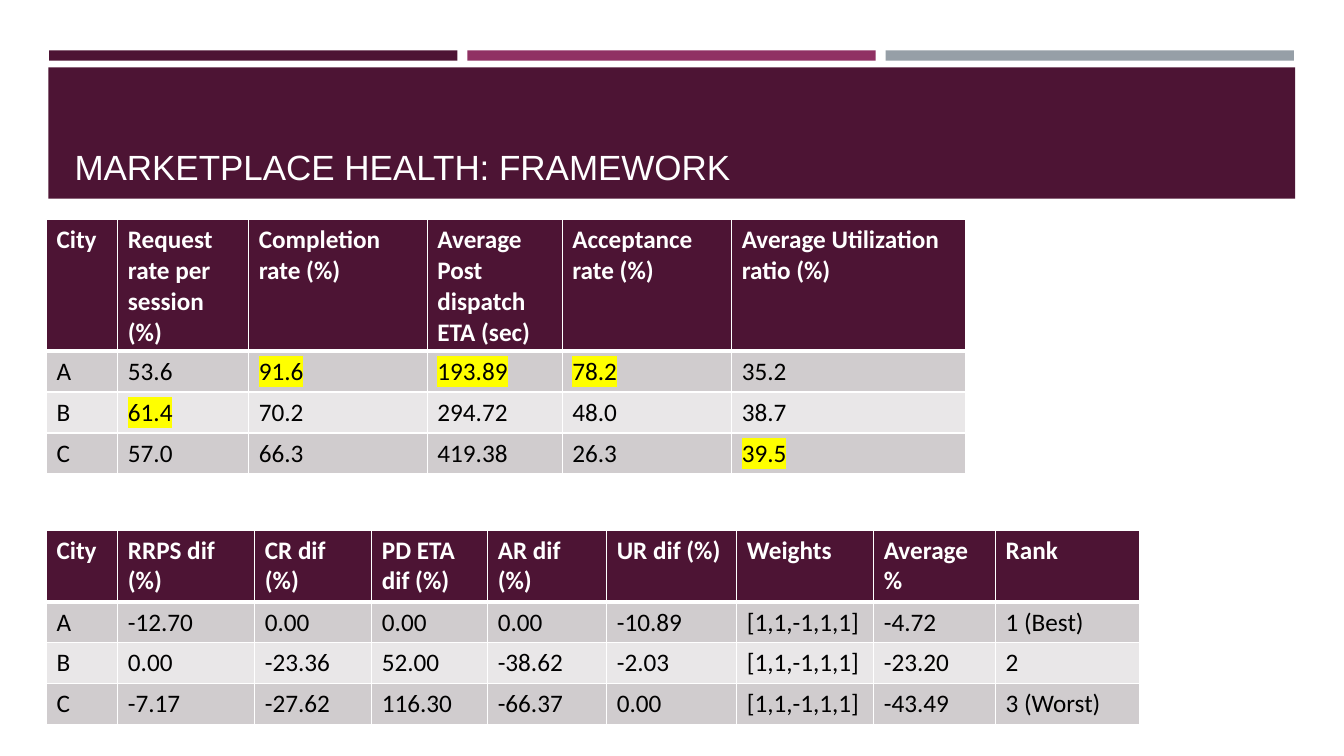
"""Build the marketplace health slide with its two city tables."""
from dataclasses import dataclass

from lxml import etree
from pptx import Presentation
from pptx.dml.color import RGBColor
from pptx.enum.shapes import MSO_SHAPE
from pptx.enum.text import MSO_ANCHOR
from pptx.oxml.ns import qn
from pptx.util import Cm, Pt

RECT = MSO_SHAPE.RECTANGLE
BOTTOM = MSO_ANCHOR.BOTTOM
HEX = {"plum": "4D1434", "rose": "903163", "slate": "969FA7", "white": "FFFFFF",
       "black": "000000", "dark": "D0CCCE", "light": "E9E7E8", "mark": "FFFF00"}
HEAD = {"name": "Calibri", "size": Pt(18), "bold": True}
BODY = {**HEAD, "bold": False}
TITLE = {"name": "Arial", "size": Pt(25)}
LEFT = 1.17
ROW = 1.03
STEP = 10.54


@dataclass
class Bar:
    left: float
    top: float
    width: float
    height: float
    fill: str


@dataclass
class Grid:
    top: float
    head: float
    widths: list[float]
    rows: list[list[str]]
    marks: set[tuple[int, int]]


BARS = [Bar(1.24 + i * STEP, 1.27, 10.29, 0.26, fill)
        for i, fill in enumerate(("plum", "rose", "slate"))]
BARS.append(Bar(1.22, 1.7, 31.42, 3.31, "plum"))

RATES = Grid(5.54, 3.31, [1.8, 3.3, 4.5, 3.4, 4.27, 5.89], [
    ["City", "Request rate per session (%)", "Completion rate (%)",
     "Average Post dispatch ETA (sec)", "Acceptance rate (%)",
     "Average Utilization ratio (%)"],
    ["A", "53.6", "91.6", "193.89", "78.2", "35.2"],
    ["B", "61.4", "70.2", "294.72", "48.0", "38.7"],
    ["C", "57.0", "66.3", "419.38", "26.3", "39.5"],
], {(1, 2), (1, 3), (1, 4), (2, 1), (3, 5)})

WEIGHTS = "[1,1,-1,1,1]"
RANKS = Grid(13.36, 1.81, [1.8, 3.45, 2.95, 2.92, 3.0, 3.28, 3.45, 3.07, 3.63], [
    ["City", "RRPS dif (%)", "CR dif (%)", "PD ETA dif (%)", "AR dif (%)",
     "UR dif (%)", "Weights", "Average %", "Rank"],
    ["A", "-12.70", "0.00", "0.00", "0.00", "-10.89", WEIGHTS, "-4.72", "1 (Best)"],
    ["B", "0.00", "-23.36", "52.00", "-38.62", "-2.03", WEIGHTS, "-23.20", "2"],
    ["C", "-7.17", "-27.62", "116.30", "-66.37", "0.00", WEIGHTS, "-43.49", "3 (Worst)"],
], set())


def tint(name: str) -> RGBColor:
    return RGBColor.from_string(HEX[name])


def style(font, form: dict, color: str) -> None:
    for key, value in form.items():
        setattr(font, key, value)
    font.color.rgb = tint(color)


def draw_bar(slide, bar: Bar) -> None:
    shape = slide.shapes.add_shape(
        RECT, Cm(bar.left), Cm(bar.top), Cm(bar.width), Cm(bar.height))
    shape.shadow.inherit = False
    shape.fill.solid()
    shape.fill.fore_color.rgb = tint(bar.fill)
    shape.line.fill.background()


def draw_title(slide, text: str) -> None:
    frame = slide.shapes.add_textbox(Cm(1.63), Cm(1.96), Cm(30.63), Cm(2.9)).text_frame
    frame.word_wrap = True
    frame.vertical_anchor = BOTTOM
    run = frame.paragraphs[0].add_run()
    run.text = text
    style(run.font, TITLE, "white")


def add_color(parent, name: str) -> None:
    etree.SubElement(parent, qn("a:srgbClr"), val=HEX[name])


def edge(cell, row: int) -> None:
    thick = {0: "lnB", 1: "lnT"}.get(row)
    props = cell._tc.get_or_add_tcPr()
    for side in ("lnL", "lnR", "lnT", "lnB"):
        width = Pt(3 if side == thick else 1)
        line = etree.SubElement(props, qn(f"a:{side}"), w=str(int(width)))
        add_color(etree.SubElement(line, qn("a:solidFill")), "white")


def mark(run) -> None:
    light = etree.Element(qn("a:highlight"))
    add_color(light, "mark")
    run.font._element.find(qn("a:solidFill")).addnext(light)


def draw_grid(slide, grid: Grid) -> None:
    count = len(grid.rows)
    table = slide.shapes.add_table(
        count, len(grid.widths), Cm(LEFT), Cm(grid.top),
        Cm(sum(grid.widths)), Cm(grid.head + ROW * (count - 1))).table
    for column, width in zip(table.columns, grid.widths):
        column.width = Cm(width)
    for r, texts in enumerate(grid.rows):
        table.rows[r].height = Cm(ROW if r else grid.head)
        fill = ("dark" if r % 2 else "light") if r else "plum"
        for c, text in enumerate(texts):
            cell = table.cell(r, c)
            edge(cell, r)
            cell.fill.solid()
            cell.fill.fore_color.rgb = tint(fill)
            run = cell.text_frame.paragraphs[0].add_run()
            run.text = text
            style(run.font, BODY if r else HEAD, "black" if r else "white")
            if (r, c) in grid.marks:
                mark(run)


def main() -> None:
    deck = Presentation()
    deck.slide_width, deck.slide_height = Cm(33.87), Cm(19.05)
    slide = deck.slides.add_slide(deck.slide_layouts[6])
    for bar in BARS:
        draw_bar(slide, bar)
    draw_title(slide, "MARKETPLACE HEALTH: FRAMEWORK")
    for grid in (RATES, RANKS):
        draw_grid(slide, grid)
    deck.save("out.pptx")


if __name__ == "__main__":
    main()
